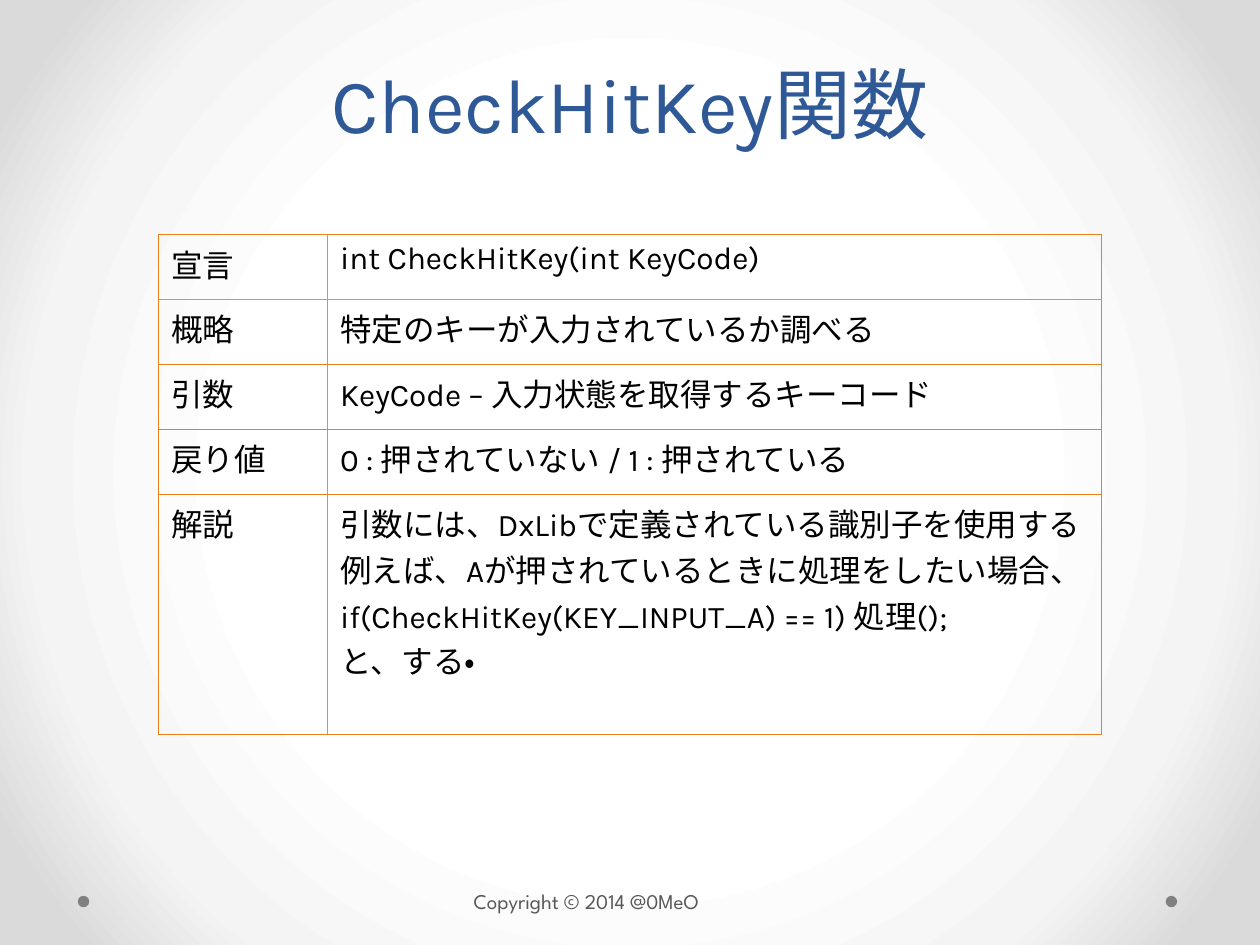
from lxml.etree import SubElement
from pptx import Presentation
from pptx.dml.color import RGBColor
from pptx.enum.lang import MSO_LANGUAGE_ID
from pptx.enum.shapes import MSO_SHAPE
from pptx.enum.text import MSO_ANCHOR, PP_ALIGN
from pptx.oxml import parse_xml
from pptx.oxml.ns import nsdecls, qn
from pptx.util import Cm, Pt

COLORS = {
    "title": "2F5897", "text": "000000", "footer": "595959", "dot": "808080",
    "border": "E6811C", "inner": "A0A0A0",
    "center": "FFFFFF", "middle": "F4F4F4", "edge": "DADADA",
}
ROWS = [
    ("宣言", "int CheckHitKey(int KeyCode)"),
    ("概略", "特定のキーが入力されているか調べる"),
    ("引数", "KeyCode – 入力状態を取得するキーコード"),
    ("戻り値", "0 : 押されていない / 1 : 押されている"),
    ("解説", "引数には、DxLibで定義されている識別子を使用する\n"
             "例えば、Aが押されているときに処理をしたい場合、\n"
             "if(CheckHitKey(KEY_INPUT_A) == 1) 処理();\n"
             "と、する・"),
]


def write_text(frame, text, size=18, font="Karla", color="text", align=None, spacing=None):
    """Write one paragraph per line of text with the given format."""
    for index, line in enumerate(text.split("\n")):
        paragraph = frame.paragraphs[0] if index == 0 else frame.add_paragraph()
        paragraph.alignment = align
        paragraph.line_spacing = spacing
        run = paragraph.add_run()
        run.text = line
        run.font.size = Pt(size)
        run.font.name = font
        run.font.language_id = MSO_LANGUAGE_ID.JAPANESE
        run.font.color.rgb = RGBColor.from_string(COLORS[color])


def set_border(cell, side, color):
    """Draw one side of a table cell: L, R, T or B."""
    line = SubElement(cell._tc.get_or_add_tcPr(), qn(f"a:ln{side}"), w=str(Pt(0.75)))
    fill = SubElement(line, qn("a:solidFill"))
    SubElement(fill, qn("a:srgbClr"), val=COLORS[color])


presentation = Presentation()
presentation.slide_width, presentation.slide_height = Cm(25.4), Cm(19.05)
slide = presentation.slides.add_slide(presentation.slide_layouts[5])

# Radial background
slide.background.fill.gradient()
stops = "".join(
    f'<a:gs pos="{position * 1000}"><a:srgbClr val="{COLORS[name]}"/></a:gs>'
    for position, name in [(50, "center"), (76, "middle"), (92, "edge")]
)
gradient = slide.background._cSld.find(".//" + qn("a:gradFill"))
gradient.getparent().replace(gradient, parse_xml(
    f'<a:gradFill {nsdecls("a")} rotWithShape="1"><a:gsLst>{stops}</a:gsLst>'
    '<a:path path="circle"><a:fillToRect l="50000" t="50000" r="50000" b="50000"/></a:path>'
    '</a:gradFill>'))

# Footer and its dots
for left in (1.57, 23.5):
    dot = slide.shapes.add_shape(MSO_SHAPE.OVAL, Cm(left), Cm(18.06), Cm(0.23), Cm(0.23))
    dot.shadow.inherit = False
    dot.fill.solid()
    dot.fill.fore_color.rgb = RGBColor.from_string(COLORS["dot"])
    dot.line.fill.background()

footer = slide.shapes.add_textbox(Cm(9.3), Cm(17.78), Cm(5.84), Cm(0.76))
footer.text_frame.word_wrap = False
write_text(footer.text_frame, "Copyright © 2014 @0MeO", size=12,
           font="League Spartan", color="footer")

# Title
title = slide.shapes.title
title.left, title.top, title.width, title.height = Cm(1.27), Cm(0.61), Cm(22.86), Cm(2.51)
title.text_frame.vertical_anchor = MSO_ANCHOR.BOTTOM
write_text(title.text_frame, "CheckHitKey関数", size=44, color="title",
           align=PP_ALIGN.CENTER, spacing=Pt(58))

# Function reference table
table = slide.shapes.add_table(len(ROWS), 2, Cm(3.2), Cm(4.72), Cm(19), Cm(10.09)).table
table.first_row = table.horz_banding = False
for column, width in zip(table.columns, (3.4, 15.6)):
    column.width = Cm(width)
for row_index, texts in enumerate(ROWS):
    table.rows[row_index].height = Cm(4.85 if row_index == len(ROWS) - 1 else 1.31)
    for column_index, text in enumerate(texts):
        cell = table.cell(row_index, column_index)
        write_text(cell.text_frame, text)
        set_border(cell, "L", "inner" if column_index == 1 else "border")
        set_border(cell, "R", "inner" if column_index == 0 else "border")
        set_border(cell, "T", "inner" if row_index == 1 else "border")
        set_border(cell, "B", "inner" if row_index == 0 else "border")
        cell.fill.background()

presentation.save("out.pptx")
